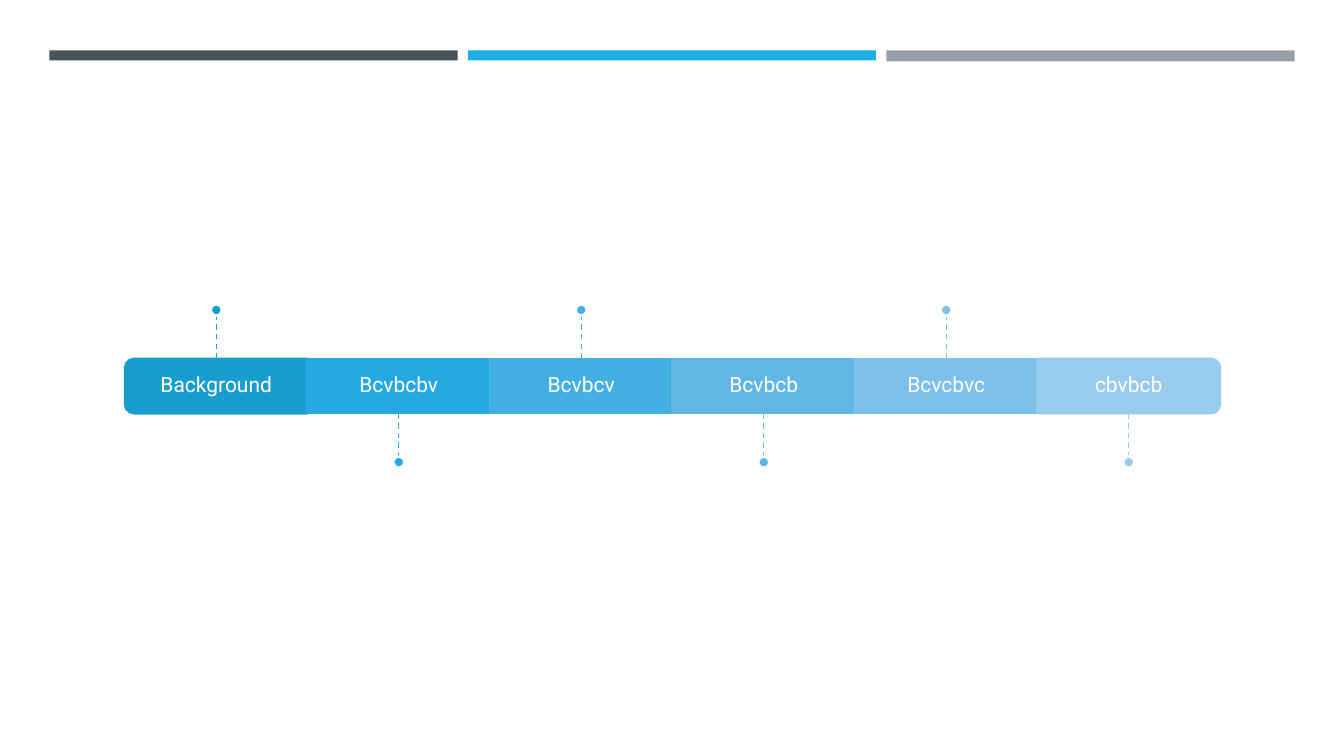
from typing import NamedTuple

from lxml.etree import SubElement
from pptx import Presentation
from pptx.dml.color import RGBColor
from pptx.enum.dml import MSO_LINE
from pptx.enum.shapes import MSO_CONNECTOR, MSO_SHAPE
from pptx.enum.text import MSO_ANCHOR, PP_ALIGN
from pptx.oxml.ns import qn
from pptx.util import Inches, Pt

HUES = {
    "white": "FFFFFF", "slate": "465359", "cyan": "1CADE4", "grey": "969FA7",
    "fill1": "199DCF", "fill2": "26A9E2", "fill3": "43B0E4",
    "fill4": "60B7E6", "fill5": "7DC0E9", "fill6": "99CBEC",
    "stem1": "1BA5DA", "stem2": "2EADE3", "stem3": "49B2E5",
    "stem4": "64B9E7", "stem5": "7EC1E9", "stem6": "98CBEC",
}

# Grid in inches: six columns in one row, three bands above
LEFT, TOP, COL, ROW = 1.24, 3.56, 1.81, 0.54
STEM, DOT = 0.43, 0.11
BAND_LEFT, BAND_TOP, BAND_STEP, BAND_WIDE = 0.49, 0.5, 4.15, 4.05


class Band(NamedTuple):
    hue: str
    high: float


class Stage(NamedTuple):
    label: str
    fill: str
    stem: str
    turn: int = 0  # rotation of a rounded end piece


BANDS = [Band("slate", 0.1), Band("cyan", 0.1), Band("grey", 0.11)]
STAGES = [
    Stage("Background", "fill1", "stem1", 270),
    Stage("Bcvbcbv", "fill2", "stem2"),
    Stage("Bcvbcv", "fill3", "stem3"),
    Stage("Bcvbcb", "fill4", "stem4"),
    Stage("Bcvcbvc", "fill5", "stem5"),
    Stage("cbvbcb", "fill6", "stem6", 90),
]


def tint(name: str) -> RGBColor:
    return RGBColor.from_string(HUES[name])


def add_form(slide, kind, x: float, y: float, wide: float, high: float,
             fill: str, edge: str = ""):
    form = slide.shapes.add_shape(
        kind, Inches(x), Inches(y), Inches(wide), Inches(high))
    form.shadow.inherit = False
    form.fill.solid()
    form.fill.fore_color.rgb = tint(fill)
    if edge:
        form.line.color.rgb = tint(edge)
        form.line.width = Pt(1.75)
    else:
        form.line.fill.background()
    return form


def add_block(slide, stage: Stage, x: float):
    if not stage.turn:
        return add_form(slide, MSO_SHAPE.RECTANGLE, x, TOP, COL, ROW,
                        stage.fill, stage.fill)
    # A turned piece is upright before rotation, about the same centre
    shift = (COL - ROW) / 2
    block = add_form(slide, MSO_SHAPE.ROUND_2_SAME_RECTANGLE, x + shift,
                     TOP - shift, ROW, COL, stage.fill, stage.fill)
    block.rotation = stage.turn
    return block


def add_label(slide, text: str, x: float) -> None:
    box = slide.shapes.add_textbox(
        Inches(x), Inches(TOP), Inches(COL), Inches(ROW))
    frame = box.text_frame
    frame.word_wrap = True
    frame.vertical_anchor = MSO_ANCHOR.MIDDLE
    frame.margin_left = frame.margin_right = Inches(0.12)
    frame.margin_top = frame.margin_bottom = Inches(0.12)
    para = frame.paragraphs[0]
    para.text = text
    para.alignment = PP_ALIGN.CENTER
    para.line_spacing = 0.9
    para.font.name = "Roboto"
    para.font.size = Pt(15)
    para.font.color.rgb = tint("white")


def add_pin(slide, stage: Stage, block, mid: float, above: bool) -> None:
    start = TOP if above else TOP + ROW
    end = start - STEM if above else start + STEM
    stem = slide.shapes.add_connector(
        MSO_CONNECTOR.STRAIGHT, Inches(mid), Inches(start),
        Inches(mid), Inches(end))
    if not stage.turn:
        stem.begin_connect(block, 0 if above else 2)
    stem.line.color.rgb = tint(stage.stem)
    stem.line.width = Pt(1)
    stem.line.dash_style = MSO_LINE.DASH
    SubElement(stem._element.spPr, qn("a:effectLst"))
    add_form(slide, MSO_SHAPE.OVAL, mid - DOT / 2,
             end - DOT if above else end, DOT, DOT, stage.fill, "white")


def main() -> None:
    deck = Presentation()
    deck.slide_width, deck.slide_height = Inches(13.33), Inches(7.5)
    slide = deck.slides.add_slide(deck.slide_layouts[6])

    # Header bands
    for i, band in enumerate(BANDS):
        add_form(slide, MSO_SHAPE.RECTANGLE, BAND_LEFT + i * BAND_STEP,
                 BAND_TOP, BAND_WIDE, band.high, band.hue)

    # Timeline, with pins above and below in turn
    for i, stage in enumerate(STAGES):
        x = LEFT + i * COL
        block = add_block(slide, stage, x)
        add_label(slide, stage.label, x)
        add_pin(slide, stage, block, x + COL / 2, above=i % 2 == 0)

    deck.save("out.pptx")


if __name__ == "__main__":
    main()
